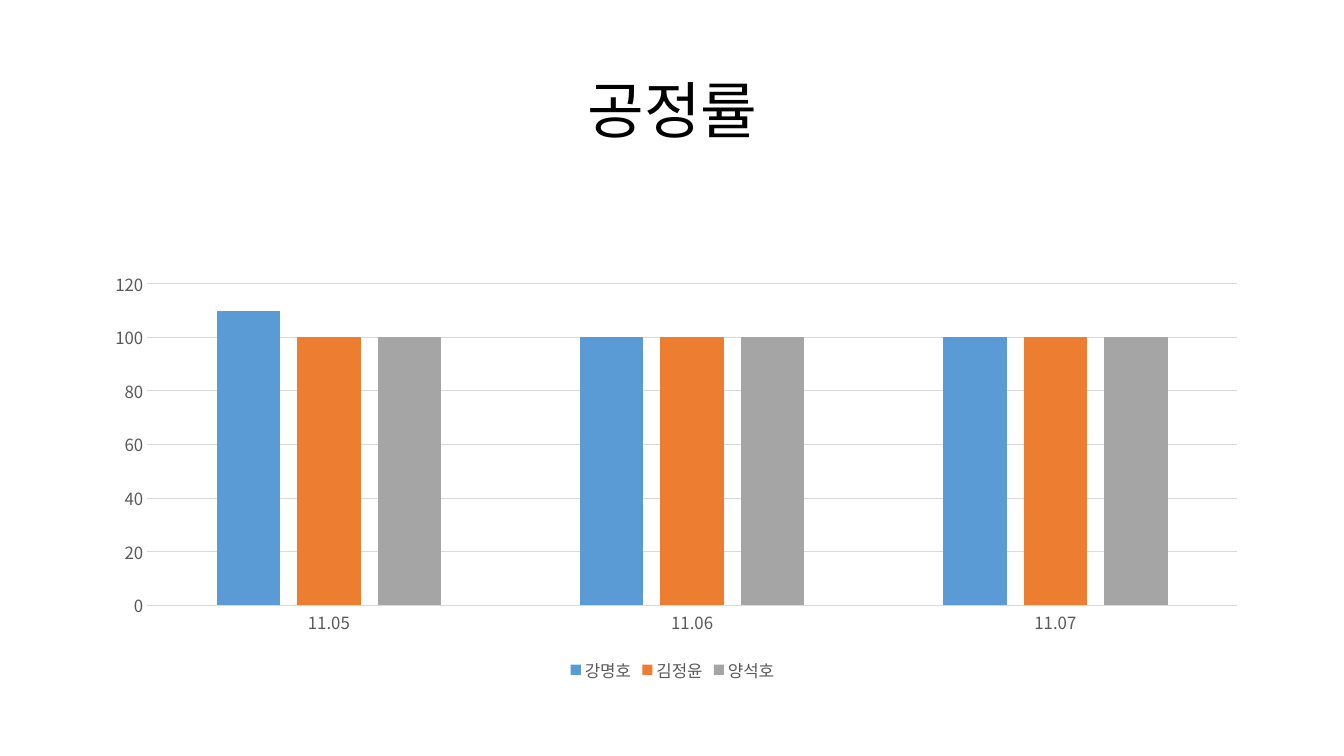
from lxml.etree import SubElement
from pptx import Presentation
from pptx.chart.data import CategoryChartData
from pptx.dml.color import RGBColor
from pptx.enum.chart import XL_CHART_TYPE as ChartType
from pptx.enum.chart import XL_LEGEND_POSITION as LegendPosition
from pptx.enum.chart import XL_TICK_MARK as TickMark
from pptx.enum.text import MSO_ANCHOR as Anchor
from pptx.enum.text import PP_ALIGN as Align
from pptx.oxml import parse_xml
from pptx.oxml.ns import nsdecls, qn
from pptx.util import Inches, Pt

FONT = "Noto Sans CJK KR"
COLORS = {"title": "000000", "label": "595959", "grid": "D9D9D9"}
DATES = ["11.05", "11.06", "11.07"]
PROGRESS = {
    "강명호": ([110, 100, 100], "5B9BD5"),
    "김정윤": ([100, 100, 100], "ED7D31"),
    "양석호": ([100, 100, 100], "A5A5A5"),
}
PLOT_AREA = {"x": 0.047, "y": 0.161, "w": 0.94, "h": 0.67}


def style_font(font, size, color):
    font.name = FONT
    font.size = Pt(size)
    font.color.rgb = RGBColor.from_string(COLORS[color])


def add_east_asian_font(element):
    for latin in list(element.iter(qn("a:latin"))):
        latin.addnext(parse_xml(f'<a:ea {nsdecls("a")} typeface="{FONT}"/>'))


def style_line(line, color):
    line.color.rgb = RGBColor.from_string(COLORS[color])
    line.width = Pt(0.75)


def add_title(page, text):
    box = page.shapes.add_textbox(Inches(0.92), Inches(0.4), Inches(11.5), Inches(1.45))
    frame = box.text_frame
    frame.word_wrap = True
    frame.vertical_anchor = Anchor.MIDDLE
    para = frame.paragraphs[0]
    para.text = text
    para.alignment = Align.CENTER
    para.line_spacing = 0.9
    style_font(para.font, 44, "title")
    add_east_asian_font(box.element)


def place_plot(chart):
    plot_area = chart.element.find(".//" + qn("c:plotArea"))
    for layout in plot_area.findall(qn("c:layout")):
        plot_area.remove(layout)
    layout = parse_xml(f'<c:layout {nsdecls("c")}/>')
    manual = SubElement(layout, qn("c:manualLayout"))
    settings = {"layoutTarget": "inner", "xMode": "edge", "yMode": "edge", **PLOT_AREA}
    for name, value in settings.items():
        SubElement(manual, qn(f"c:{name}")).set("val", str(value))
    plot_area.insert(0, layout)


def style_axes(chart):
    for axis in (chart.category_axis, chart.value_axis):
        axis.major_tick_mark = TickMark.NONE
        axis.minor_tick_mark = TickMark.NONE
        style_font(axis.tick_labels.font, 12, "label")
    style_line(chart.category_axis.format.line, "grid")
    values = chart.value_axis
    values.minimum_scale = 0
    values.maximum_scale = 120
    values.major_unit = 20
    values.format.line.fill.background()
    style_line(values.major_gridlines.format.line, "grid")


def add_progress_chart(page):
    data = CategoryChartData()
    data.categories = DATES
    for name, (values, _) in PROGRESS.items():
        data.add_series(name, values)
    chart = page.shapes.add_chart(
        ChartType.COLUMN_CLUSTERED,
        Inches(0.92), Inches(2.05), Inches(11.5), Inches(4.76), data,
    ).chart
    chart.has_title = False
    style_font(chart.font, 10, "title")
    plot = chart.plots[0]
    plot.gap_width = 219
    plot.overlap = -27
    plot.vary_by_categories = False
    for series, (_, color) in zip(plot.series, PROGRESS.values()):
        series.format.fill.solid()
        series.format.fill.fore_color.rgb = RGBColor.from_string(color)
    style_axes(chart)
    chart.has_legend = True
    chart.legend.position = LegendPosition.BOTTOM
    chart.legend.include_in_layout = False
    style_font(chart.legend.font, 12, "label")
    place_plot(chart)
    add_east_asian_font(chart.element)


def main():
    deck = Presentation()
    deck.slide_width = Inches(13.33)
    deck.slide_height = Inches(7.5)
    page = deck.slides.add_slide(deck.slide_layouts[6])
    add_title(page, "공정률")
    add_progress_chart(page)
    deck.save("out.pptx")


if __name__ == "__main__":
    main()
